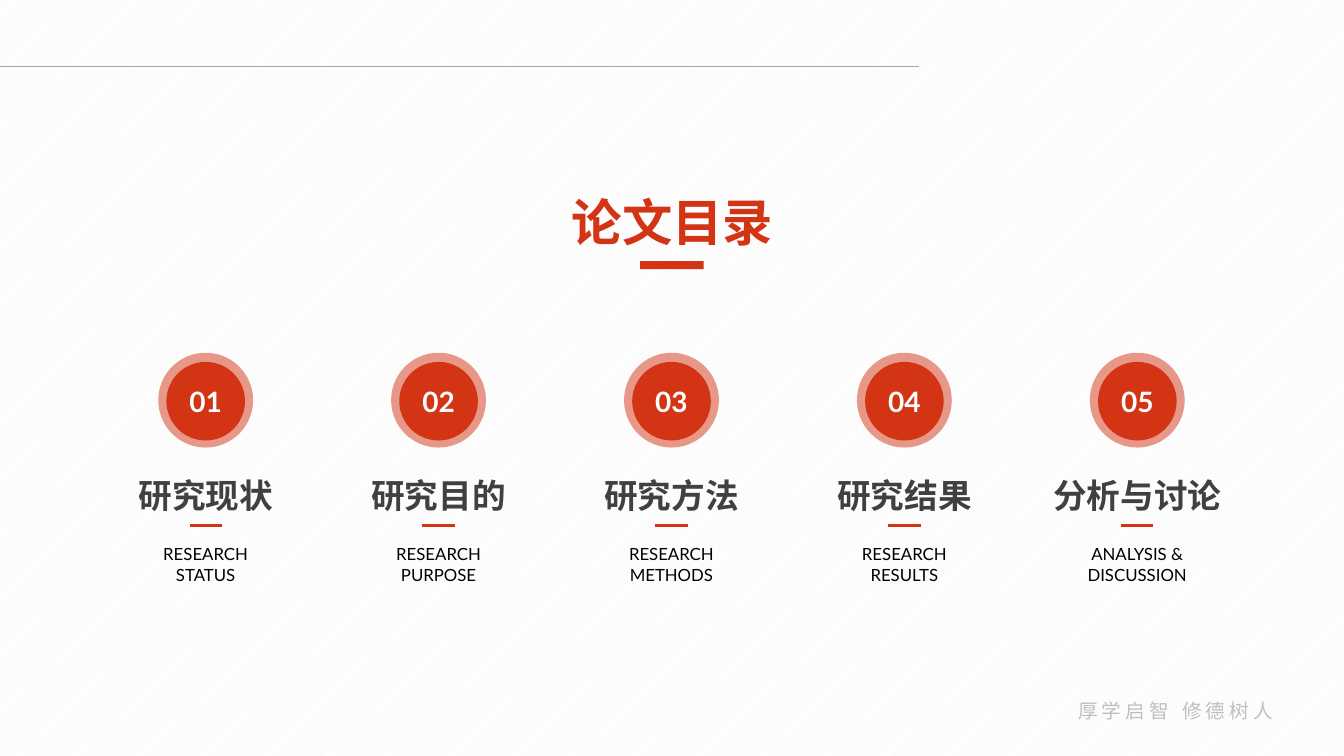
from lxml import etree
from pptx import Presentation
from pptx.dml.color import RGBColor
from pptx.enum.dml import MSO_PATTERN
from pptx.enum.shapes import MSO_CONNECTOR, MSO_SHAPE
from pptx.enum.text import MSO_ANCHOR, MSO_AUTO_SIZE, PP_ALIGN
from pptx.oxml.ns import qn
from pptx.util import Inches, Pt

STRAIGHT = MSO_CONNECTOR.STRAIGHT
RECT, OVAL = MSO_SHAPE.RECTANGLE, MSO_SHAPE.OVAL
CENTER, RIGHT = PP_ALIGN.CENTER, PP_ALIGN.RIGHT
MIDDLE = MSO_ANCHOR.MIDDLE
GROW = MSO_AUTO_SIZE.SHAPE_TO_FIT_TEXT
DIAGONAL = MSO_PATTERN.LIGHT_UPWARD_DIAGONAL

CJK, LATIN = "Noto Sans CJK SC", "Lato"
RED, DARK = "D23414", "404040"

# Number, heading, English label, label width
CHAPTERS = [
    ("01", "研究现状", "RESEARCH STATUS", 1.53),
    ("02", "研究目的", "RESEARCH PURPOSE", 1.69),
    ("03", "研究方法", "RESEARCH METHODS", 1.76),
    ("04", "研究结果", "RESEARCH RESULTS", 1.61),
    ("05", "分析与讨论", "ANALYSIS & DISCUSSION", 2),
]


def rgb(value):
    return RGBColor.from_string(value)


def write(tf, text, size, font, color, bold=False, align=CENTER, spacing=0):
    tf.text = text
    p = tf.paragraphs[0]
    p.alignment = align
    r = p.runs[0]
    r.font.size, r.font.bold, r.font.name = Pt(size), bold, font
    r.font.color.rgb = rgb(color)
    rPr = r._r.get_or_add_rPr()
    etree.SubElement(rPr, qn("a:ea")).set("typeface", font)
    if spacing:
        rPr.set("spc", str(spacing * 100))


def add_text(s, x, y, w, h, *style, wrap=False, **options):
    tf = s.shapes.add_textbox(Inches(x), Inches(y), Inches(w), Inches(h)).text_frame
    tf.word_wrap = wrap
    tf.auto_size = GROW
    write(tf, *style, **options)
    return tf


def add_line(s, x, y, w, color, weight):
    line = s.shapes.add_connector(STRAIGHT, Inches(x), Inches(y), Inches(x + w), Inches(y))
    line.line.color.rgb = rgb(color)
    line.line.width = Pt(weight)
    etree.SubElement(line._element.spPr, qn("a:effectLst"))


def add_filled(shapes, kind, x, y, w, h, color, opacity=100):
    sp = shapes.add_shape(kind, Inches(x), Inches(y), Inches(w), Inches(h))
    sp.shadow.inherit = False
    sp.fill.solid()
    sp.fill.fore_color.rgb = rgb(color)
    sp.line.fill.background()
    if opacity < 100:
        clr = sp._element.spPr.find(qn("a:solidFill"))[0]
        etree.SubElement(clr, qn("a:alpha")).set("val", str(opacity * 1000))
    return sp


def add_frame(s):
    # Hatched background, top rule and motto
    fill = s.background.fill
    fill.patterned()
    fill.pattern = DIAGONAL
    fill.fore_color.rgb = rgb("F2F2F2")
    fill.back_color.rgb = rgb("FFFFFF")
    add_line(s, 0, 0.66, 9.11, "A6A6A6", 0.75)
    tf = add_text(s, 10.58, 6.88, 2.05, 0.34, "厚学启智 修德树人", 14, CJK, "BFBFBF",
                  wrap=True, align=RIGHT, spacing=3)
    tf.margin_left = tf.margin_right = 0


def add_title(s, x, y, w):
    add_text(s, x, y, w, 0.71, "论文目录", 36, CJK, RED, bold=True)
    add_filled(s.shapes, RECT, x + w / 2 - 0.32, y + 0.74, 0.63, 0.08, RED)


def add_chapter(s, cx, y, number, heading, label, label_w):
    # Numbered badge
    badge = s.shapes.add_group_shape().shapes
    add_filled(badge, OVAL, cx - 0.47, y, 0.94, 0.94, RED, opacity=50)
    disc = add_filled(badge, OVAL, cx - 0.39, y + 0.09, 0.78, 0.78, RED)
    disc.text_frame.vertical_anchor = MIDDLE
    write(disc.text_frame, number, 20, LATIN, "FFFFFF", bold=True)
    # Heading, short rule and label
    heading_w = 0.22 + len(heading) / 3
    add_text(s, cx - heading_w / 2, y + 1.16, heading_w, 0.5, heading, 24, CJK, DARK, bold=True)
    add_line(s, cx - 0.16, y + 1.71, 0.32, RED, 2.25)
    add_text(s, cx - label_w / 2, y + 1.85, label_w, 0.5, label, 12, LATIN, "000000", wrap=True)


def add_contents(s, first_cx, y, pitch):
    for i, chapter in enumerate(CHAPTERS):
        add_chapter(s, first_cx + i * pitch, y, *chapter)


def main():
    prs = Presentation()
    prs.slide_width, prs.slide_height = Inches(13.33), Inches(7.5)
    s = prs.slides.add_slide(prs.slide_layouts[6])
    add_frame(s)
    add_title(s, 5.56, 1.85, 2.22)
    add_contents(s, 2.04, 3.5, 2.31)
    prs.save("out.pptx")


if __name__ == "__main__":
    main()
